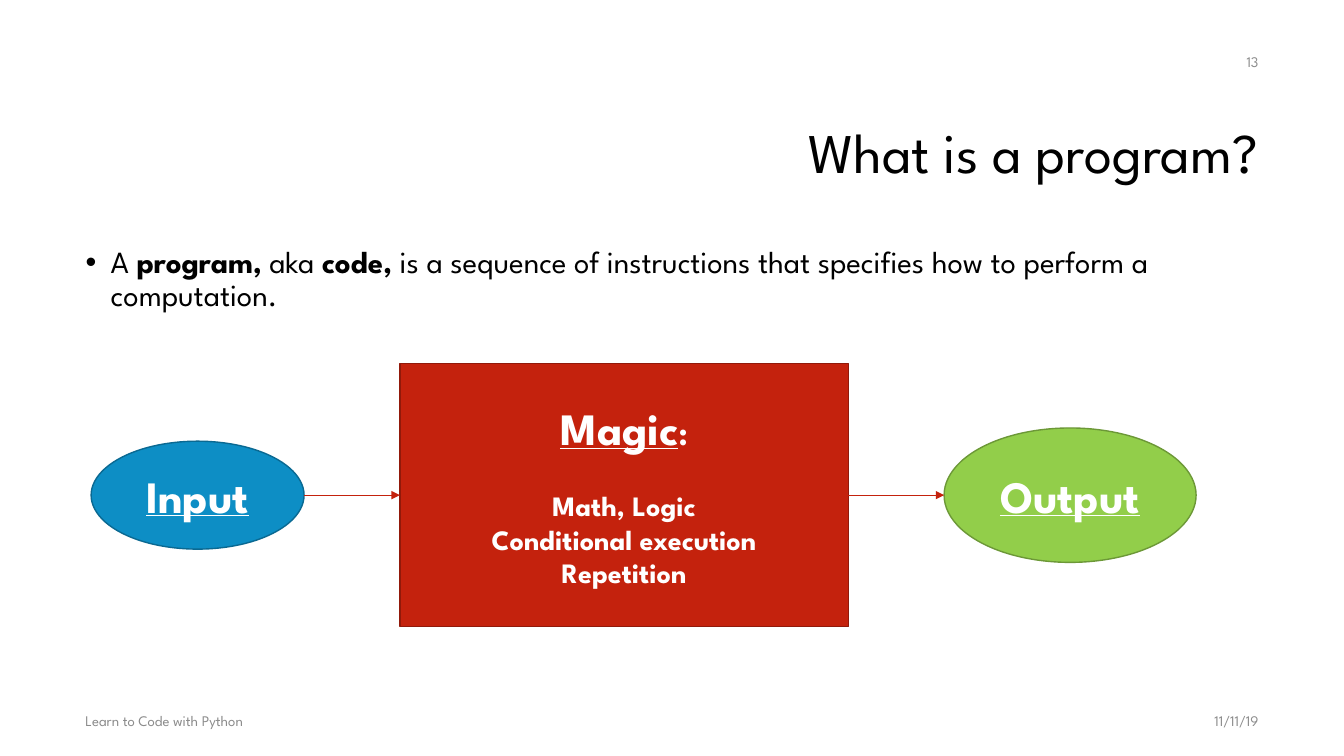
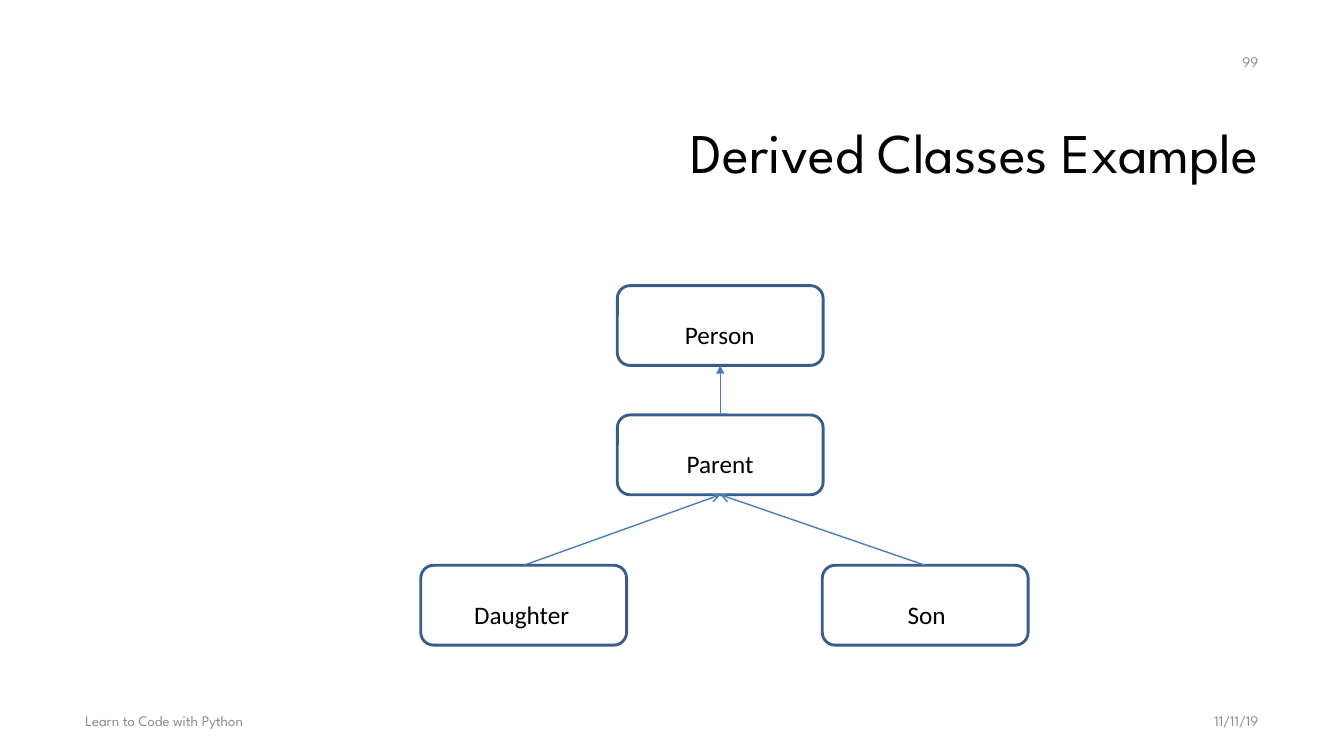
from dataclasses import dataclass
from typing import NamedTuple

import lxml.etree
import pptx
import pptx.dml.color
import pptx.enum.shapes
import pptx.enum.text
import pptx.oxml.ns
import pptx.presentation
import pptx.shapes.autoshape
import pptx.slide
import pptx.text.text
import pptx.util

RGBColor = pptx.dml.color.RGBColor
Pt = pptx.util.Pt
Align = pptx.enum.text.PP_ALIGN
Anchor = pptx.enum.text.MSO_ANCHOR
Preset = pptx.enum.shapes.MSO_SHAPE
qn = pptx.oxml.ns.qn

BLACK = RGBColor(0x00, 0x00, 0x00)
WHITE = RGBColor(0xFF, 0xFF, 0xFF)
GRAY = RGBColor(0x8C, 0x8C, 0x8C)
BLUE = RGBColor(0x0D, 0x8E, 0xC5)
BLUE_EDGE = RGBColor(0x0A, 0x69, 0x92)
RED = RGBColor(0xC4, 0x22, 0x0D)
RED_EDGE = RGBColor(0x91, 0x19, 0x0A)
GREEN = RGBColor(0x92, 0xCE, 0x4A)
GREEN_EDGE = RGBColor(0x6C, 0x98, 0x37)
CLASS_EDGE = RGBColor(0x38, 0x5D, 0x8A)
CLASS_ARROW = RGBColor(0x4A, 0x7E, 0xBB)

DECK_FONT = "League Spartan"
CLASS_FONT = "Calibri"

# The slide is a grid of square cells.
COLUMNS, ROWS = 160, 90
SLIDE_WIDTH = pptx.util.Inches(13.3333)
CELL = SLIDE_WIDTH / COLUMNS

# Connection sites of a rectangle; an ellipse has twice as many.
TOP, LEFT, BOTTOM, RIGHT = range(4)


class Frame(NamedTuple):
    column: float
    row: float
    columns: float
    rows: float


class Run(NamedTuple):
    text: str
    bold: bool = False


class Line(NamedTuple):
    text: str
    size: float
    underlined: bool = False
    suffix: str = ""
    space_before: float = 0


@dataclass
class Stage:
    preset: Preset
    columns: float
    rows: float
    fill: RGBColor
    edge: RGBColor
    lines: list[Line]


@dataclass
class ClassBox:
    name: str
    column: float
    row: float
    label_indent: float


TITLE = Frame(38, 10.1, 113, 16.9)
BODY = Frame(9, 28.8, 142, 52.8)
DATE = Frame(112.8, 83.4, 38.2, 4.8)
FOOTER = Frame(9, 83.4, 102, 4.8)
NUMBER = Frame(115, 5, 36, 4.8)

DEFINITION = [
    Run("A "),
    Run("program,", True),
    Run(" aka "),
    Run("code,", True),
    Run(" is a sequence of instructions that specifies how to perform a computation."),
]

FLOW_COLUMN, FLOW_MIDDLE_ROW, FLOW_GAP = 10.85, 58.95, 11.4
STAGES = [
    Stage(Preset.OVAL, 25.35, 12.85, BLUE, BLUE_EDGE, [Line("Input", 32, True)]),
    Stage(Preset.RECTANGLE, 53.4, 31.3, RED, RED_EDGE, [
        Line("Magic", 32, True, suffix=":"),
        Line("Math, Logic", 20, space_before=24),
        Line("Conditional execution", 20),
        Line("Repetition", 20),
    ]),
    Stage(Preset.OVAL, 30, 16, GREEN, GREEN_EDGE, [Line("Output", 32, True)]),
]

CLASS_COLUMNS, CLASS_ROWS, LABEL_ROWS = 24.5, 9.5, 3.3
CLASS_BOXES = [
    ClassBox("Person", 73.5, 34, 7.6),
    ClassBox("Parent", 73.5, 49.4, 7.8),
    ClassBox("Daughter", 50.1, 67.3, 5.9),
    ClassBox("Son", 97.9, 67.3, 9.7),
]
# Child, base and arrowhead
INHERITANCE = [
    ("Parent", "Person", "triangle"),
    ("Daughter", "Parent", "arrow"),
    ("Son", "Parent", "arrow"),
]


def cells(count: float) -> pptx.util.Emu:
    return pptx.util.Emu(round(count * CELL))


def style(paragraph: pptx.text.text._Paragraph, size: float, color: RGBColor,
          align: Align = Align.LEFT, font: str = DECK_FONT) -> None:
    paragraph.alignment = align
    paragraph.font.name = font
    paragraph.font.size = Pt(size)
    paragraph.font.color.rgb = color


def add_text(slide: pptx.slide.Slide, frame: Frame,
             anchor: Anchor = Anchor.TOP) -> pptx.text.text._Paragraph:
    """Add a wrapping text box and return its first paragraph."""
    text_frame = slide.shapes.add_textbox(*map(cells, frame)).text_frame
    text_frame.word_wrap = True
    text_frame.vertical_anchor = anchor
    return text_frame.paragraphs[0]


def add_slide(deck: pptx.presentation.Presentation, heading: str,
              number: int) -> pptx.slide.Slide:
    """Add a slide with the title, date, footer and number all slides share."""
    slide = deck.slides.add_slide(deck.slide_layouts[5])
    title = slide.shapes.title
    title.left, title.top, title.width, title.height = map(cells, TITLE)
    title.text_frame.text = heading
    title.text_frame.vertical_anchor = Anchor.MIDDLE
    title.text_frame.auto_size = pptx.enum.text.MSO_AUTO_SIZE.NONE
    paragraph = title.text_frame.paragraphs[0]
    paragraph.line_spacing = 0.9
    style(paragraph, 40, BLACK, Align.RIGHT)

    for text, frame, align in (
        ("11/11/19", DATE, Align.RIGHT),
        ("Learn to Code with Python", FOOTER, Align.LEFT),
        (str(number), NUMBER, Align.RIGHT),
    ):
        paragraph = add_text(slide, frame, Anchor.MIDDLE)
        paragraph.text = text
        style(paragraph, 10.5, GRAY, align)
    return slide


def add_bullet(slide: pptx.slide.Slide, frame: Frame, runs: list[Run]) -> None:
    paragraph = add_text(slide, frame)
    properties = paragraph._p.get_or_add_pPr()
    indent = pptx.util.Inches(0.25)
    properties.set("marL", str(indent))
    properties.set("indent", str(-indent))
    lxml.etree.SubElement(properties, qn("a:buFont"), typeface="Arial")
    lxml.etree.SubElement(properties, qn("a:buChar"), char="•")
    paragraph.line_spacing = 0.9
    paragraph.space_before = Pt(10)
    style(paragraph, 22, BLACK)
    for text, bold in runs:
        run = paragraph.add_run()
        run.text = text
        run.font.bold = bold


def add_outlined(slide: pptx.slide.Slide, preset: Preset, frame: Frame,
                 edge: RGBColor, width: float) -> pptx.shapes.autoshape.Shape:
    shape = slide.shapes.add_shape(preset, *map(cells, frame))
    shape.shadow.inherit = False
    shape.line.color.rgb = edge
    shape.line.width = Pt(width)
    return shape


def add_stage(slide: pptx.slide.Slide, stage: Stage,
              column: float) -> pptx.shapes.autoshape.Shape:
    frame = Frame(column, FLOW_MIDDLE_ROW - stage.rows / 2, stage.columns, stage.rows)
    shape = add_outlined(slide, stage.preset, frame, stage.edge, 1)
    shape.fill.solid()
    shape.fill.fore_color.rgb = stage.fill
    text_frame = shape.text_frame
    text_frame.vertical_anchor = Anchor.MIDDLE
    for index, line in enumerate(stage.lines):
        paragraph = text_frame.add_paragraph() if index else text_frame.paragraphs[0]
        paragraph.space_before = Pt(line.space_before)
        style(paragraph, line.size, WHITE, Align.CENTER)
        paragraph.font.bold = True
        run = paragraph.add_run()
        run.text = line.text
        run.font.underline = line.underlined
        if line.suffix:
            suffix = paragraph.add_run()
            suffix.text = line.suffix
            suffix.font.size = Pt(24)
    return shape


def add_class(slide: pptx.slide.Slide, box: ClassBox) -> pptx.shapes.autoshape.Shape:
    frame = Frame(box.column, box.row, CLASS_COLUMNS, CLASS_ROWS)
    shape = add_outlined(slide, Preset.ROUNDED_RECTANGLE, frame, CLASS_EDGE, 2.04)
    shape.adjustments[0] = 0.16
    shape.fill.background()
    text_frame = shape.text_frame
    text_frame.vertical_anchor = Anchor.TOP
    text_frame.margin_left = cells(box.label_indent)
    text_frame.margin_top = cells(LABEL_ROWS)
    text_frame.margin_right = text_frame.margin_bottom = 0
    paragraph = text_frame.paragraphs[0]
    paragraph.text = box.name
    paragraph.line_spacing = 1.07
    style(paragraph, 18, BLACK, font=CLASS_FONT)
    return shape


def side_point(shape: pptx.shapes.autoshape.Shape, side: int) -> tuple[int, int]:
    across, down = {TOP: (1, 0), LEFT: (0, 1), BOTTOM: (1, 2), RIGHT: (2, 1)}[side]
    return shape.left + shape.width * across // 2, shape.top + shape.height * down // 2


def add_arrow(slide: pptx.slide.Slide, start: pptx.shapes.autoshape.Shape,
              start_side: int, end: pptx.shapes.autoshape.Shape, end_side: int,
              color: RGBColor, head: str, width: float) -> None:
    """Draw an arrow between two sides and glue it to both shapes."""
    arrow = slide.shapes.add_connector(
        pptx.enum.shapes.MSO_CONNECTOR.STRAIGHT,
        *side_point(start, start_side), *side_point(end, end_side))
    arrow.line.color.rgb = color
    arrow.line.width = Pt(width)
    lxml.etree.SubElement(arrow.line._get_or_add_ln(), qn("a:tailEnd"), type=head)
    lxml.etree.SubElement(arrow._element.spPr, qn("a:effectLst"))
    glue = arrow._element.nvCxnSpPr.cNvCxnSpPr
    for tag, shape, side in (("a:stCxn", start, start_side), ("a:endCxn", end, end_side)):
        site = side * 2 if shape.auto_shape_type == Preset.OVAL else side
        lxml.etree.SubElement(glue, qn(tag), id=str(shape.shape_id), idx=str(site))


def build_program_slide(deck: pptx.presentation.Presentation) -> None:
    slide = add_slide(deck, "What is a program?", 13)
    add_bullet(slide, BODY, DEFINITION)
    column = FLOW_COLUMN
    shapes = []
    for stage in STAGES:
        shapes.append(add_stage(slide, stage, column))
        column += stage.columns + FLOW_GAP
    for start, end in zip(shapes, shapes[1:]):
        add_arrow(slide, start, RIGHT, end, LEFT, RED, "triangle", 0.75)


def build_classes_slide(deck: pptx.presentation.Presentation) -> None:
    slide = add_slide(deck, "Derived Classes Example", 99)
    shapes = {box.name: add_class(slide, box) for box in CLASS_BOXES}
    for child, base, head in INHERITANCE:
        add_arrow(slide, shapes[child], TOP, shapes[base], BOTTOM, CLASS_ARROW, head, 1)


def main() -> None:
    deck = pptx.Presentation()
    deck.slide_width = SLIDE_WIDTH
    deck.slide_height = cells(ROWS)
    build_program_slide(deck)
    build_classes_slide(deck)
    deck.save("out.pptx")


if __name__ == "__main__":
    main()
